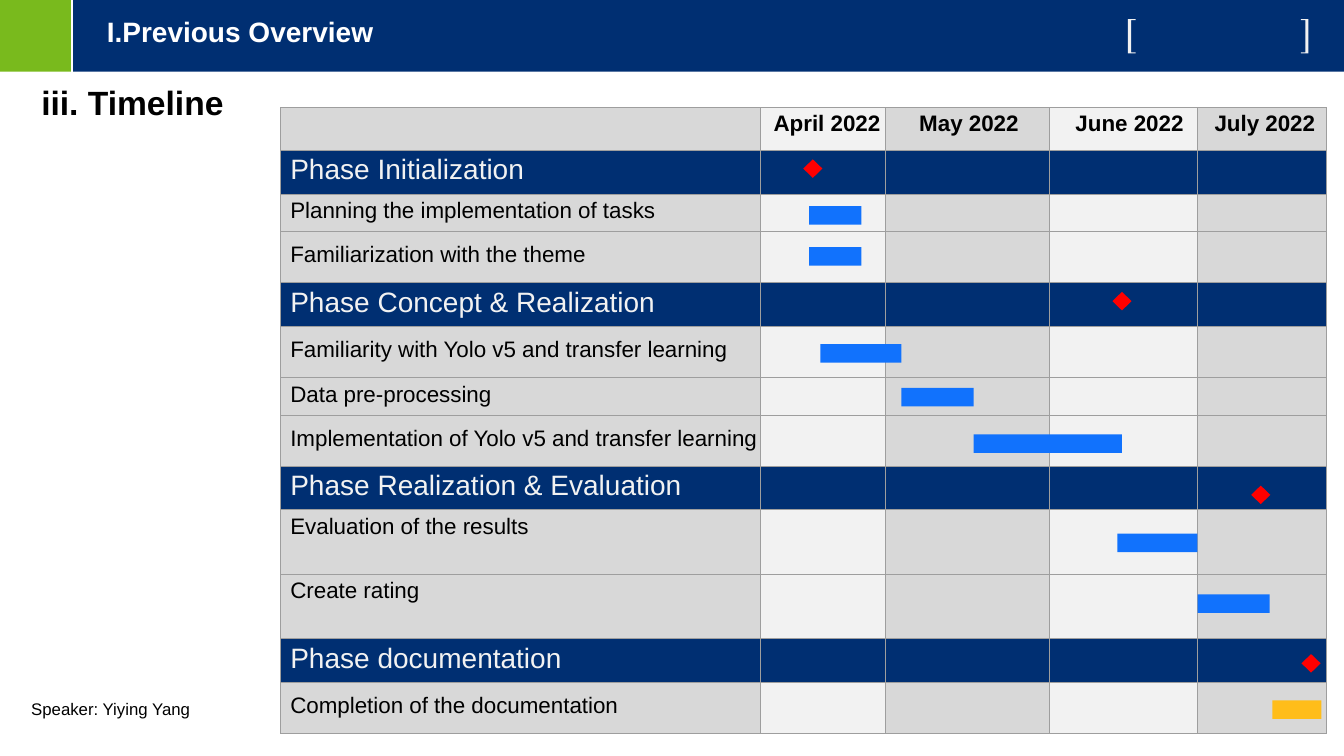
import itertools

import lxml.etree
import pptx
import pptx.dml.color
import pptx.enum.shapes
import pptx.oxml.ns
import pptx.util

NAVY, GREEN, WHITE, BLACK = "002F72", "79BA1D", "FFFFFF", "000000"
LIGHT, GREY, BORDER = "F2F2F2", "D8D8D8", "9E9E9E"
BLUE, AMBER, RED = "1172FD", "FFBD1A", "FF0000"
FONT = "Arial"
SHAPE = pptx.enum.shapes.MSO_SHAPE

# Lengths are counted in grid cells, ten to the inch.
COLUMNS, ROWS = 133.33, 75
HEADER, GREEN_WIDTH = 7.1, 7.1
TABLE_LEFT, TABLE_TOP = 27.85, 10.7
TABLE_COLUMNS = [47.6, 12.35, 16.3, 14.7, 12.8]
TALL_TASK = 5.1
BAR_HEIGHT, DIAMOND_WIDTH = 1.84, 1.9

MONTHS = [("April 2022", 1.3), ("May 2022", 3.4), ("June 2022", 2.6), ("July 2022", 1.7)]
# (row height, is a phase, label)
PLAN = [
    (4.35, True, "Phase Initialization"),
    (3.7, False, "Planning the implementation of tasks"),
    (TALL_TASK, False, "Familiarization with the theme"),
    (4.35, True, "Phase Concept & Realization"),
    (TALL_TASK, False, "Familiarity with Yolo v5 and transfer learning"),
    (3.7, False, "Data pre-processing"),
    (TALL_TASK, False, "Implementation of Yolo v5 and transfer learning"),
    (4.3, True, "Phase Realization & Evaluation"),
    (6.4, False, "Evaluation of the results"),
    (6.4, False, "Create rating"),
    (4.3, True, "Phase documentation"),
    (TALL_TASK, False, "Completion of the documentation"),
]
TABLE_ROWS = [4.2] + [height for height, _, _ in PLAN]
# (row, start, end, height within the row); April starts at 0, May at 1
BARS = [
    (2, 0.39, 0.81, 0.57, BLUE), (3, 0.39, 0.81, 0.49, BLUE),
    (5, 0.48, 1.1, 0.52, BLUE), (6, 1.1, 1.54, 0.51, BLUE),
    (7, 1.54, 2.49, 0.55, BLUE), (9, 2.46, 3, 0.51, BLUE),
    (10, 3, 3.56, 0.45, BLUE), (12, 3.58, 3.96, 0.53, AMBER),
]
MILESTONES = [(1, 0.42, 0.42), (4, 2.49, 0.42), (8, 3.49, 0.65), (11, 3.88, 0.56)]


def cells(n):
    return pptx.util.Inches(n / 10)


def rgb(color):
    return pptx.dml.color.RGBColor.from_string(color)


def add_run(tf, text, size=16, color=BLACK, bold=False):
    r = tf.paragraphs[0].add_run()
    r.text = text
    r.font.name, r.font.size, r.font.bold = FONT, pptx.util.Pt(size), bold
    r.font.color.rgb = rgb(color)


def edges(start, sizes):
    return list(itertools.accumulate(sizes, initial=start))


def along(lines, position):
    """Place of a fractional index between successive grid lines."""
    i = min(int(position), len(lines) - 2)
    return lines[i] + (position - i) * (lines[i + 1] - lines[i])


class Deck:
    def __init__(self):
        self.prs = pptx.Presentation()
        self.prs.slide_width, self.prs.slide_height = cells(COLUMNS), cells(ROWS)
        self.s = self.prs.slides.add_slide(self.prs.slide_layouts[6])

    def paint(self, sp, color):
        sp.shadow.inherit = False
        sp.fill.solid()
        sp.fill.fore_color.rgb = rgb(color)
        sp.line.fill.background()

    def shape(self, kind, x, y, w, h, color):
        sp = self.s.shapes.add_shape(kind, *map(cells, (x, y, w, h)))
        self.paint(sp, color)

    def outline(self, points, color):
        start, *rest = [(cells(x), cells(y)) for x, y in points]
        builder = self.s.shapes.build_freeform(*start)
        builder.add_line_segments(rest)
        self.paint(builder.convert_to_shape(), color)

    def line(self, x1, y1, x2, y2, color, width):
        sp = self.s.shapes.add_connector(
            pptx.enum.shapes.MSO_CONNECTOR.STRAIGHT, *map(cells, (x1, y1, x2, y2)))
        sp.line.color.rgb, sp.line.width = rgb(color), pptx.util.Pt(width)
        lxml.etree.SubElement(sp.element.spPr, pptx.oxml.ns.qn("a:effectLst"))

    def text(self, text, x, y, w, h, **fmt):
        tf = self.s.shapes.add_textbox(*map(cells, (x, y, w, h))).text_frame
        tf.margin_left = tf.margin_top = tf.margin_right = tf.margin_bottom = 0
        tf.word_wrap = True
        add_run(tf, text, **fmt)

    def table(self, x, y, widths, heights):
        frame = self.s.shapes.add_table(
            len(heights), len(widths), *map(cells, (x, y, sum(widths), sum(heights))))
        tbl = frame.table
        tbl.first_row = tbl.horz_banding = False
        for column, width in zip(tbl.columns, widths):
            column.width = cells(width)
        for row, height in zip(tbl.rows, heights):
            row.height = cells(height)
        return tbl

    def cell(self, cell, fill, left=0.95, top=0.4):
        cell.margin_left, cell.margin_top = cells(left), cells(top)
        cell.margin_right = cell.margin_bottom = 0
        qn, tcPr = pptx.oxml.ns.qn, cell._tc.get_or_add_tcPr()
        for side in "LRTB":
            ln = lxml.etree.SubElement(tcPr, qn(f"a:ln{side}"), w=str(pptx.util.Pt(0.75)))
            solid = lxml.etree.SubElement(ln, qn("a:solidFill"))
            lxml.etree.SubElement(solid, qn("a:srgbClr"), val=BORDER)
        cell.fill.solid()
        cell.fill.fore_color.rgb = rgb(fill)
        return cell.text_frame


def draw_header(deck):
    deck.shape(SHAPE.RECTANGLE, GREEN_WIDTH, 0, COLUMNS - GREEN_WIDTH, HEADER, NAVY)
    deck.shape(SHAPE.RECTANGLE, 0, 0, GREEN_WIDTH, HEADER, GREEN)
    deck.line(GREEN_WIDTH, 0, GREEN_WIDTH, HEADER, WHITE, 1.5)
    for outer, direction in ((111.9, 1), (129.8, -1)):
        tip, inner = outer + 0.75 * direction, outer + 0.3 * direction
        deck.outline([(tip, 1.9), (outer, 1.9), (outer, 5.3), (tip, 5.3),
                      (tip, 5.2), (inner, 5.2), (inner, 2), (tip, 2)], LIGHT)
    deck.text("I.Previous Overview", 10.6, 1.4, 40, 3.4, size=20, color=WHITE, bold=True)


def draw_plan(deck):
    tbl = deck.table(TABLE_LEFT, TABLE_TOP, TABLE_COLUMNS, TABLE_ROWS)
    column_fills = [GREY, LIGHT, GREY, LIGHT, GREY]
    deck.cell(tbl.cell(0, 0), GREY)
    for col, (month, indent) in enumerate(MONTHS, 1):
        tf = deck.cell(tbl.cell(0, col), column_fills[col], left=indent, top=0.3)
        add_run(tf, month, bold=True)
    for row, (height, is_phase, label) in enumerate(PLAN, 1):
        for col, column_fill in enumerate(column_fills):
            tf = deck.cell(tbl.cell(row, col), NAVY if is_phase else column_fill,
                           top=1.1 if height == TALL_TASK else 0.4)
            if col == 0:
                add_run(tf, label, size=20 if is_phase else 16,
                        color=LIGHT if is_phase else BLACK)


def draw_schedule(deck):
    months = edges(TABLE_LEFT + TABLE_COLUMNS[0], TABLE_COLUMNS[1:])
    rows = edges(TABLE_TOP, TABLE_ROWS)
    for row, start, end, level, color in BARS:
        x, y = along(months, start), along(rows, row + level)
        deck.shape(SHAPE.RECTANGLE, x, y - BAR_HEIGHT / 2,
                   along(months, end) - x, BAR_HEIGHT, color)
    for row, date, level in MILESTONES:
        x, y = along(months, date), along(rows, row + level)
        deck.shape(SHAPE.DIAMOND, x - DIAMOND_WIDTH / 2, y - BAR_HEIGHT / 2,
                   DIAMOND_WIDTH, BAR_HEIGHT, RED)


def main():
    deck = Deck()
    draw_header(deck)
    draw_plan(deck)
    draw_schedule(deck)
    deck.text("iii. Timeline", 4.1, 8.1, 22, 4.1, size=24, bold=True)
    deck.text("Speaker: Yiying Yang", 3.1, 69.3, 24, 2, size=12)
    deck.prs.save("out.pptx")


if __name__ == "__main__":
    main()
